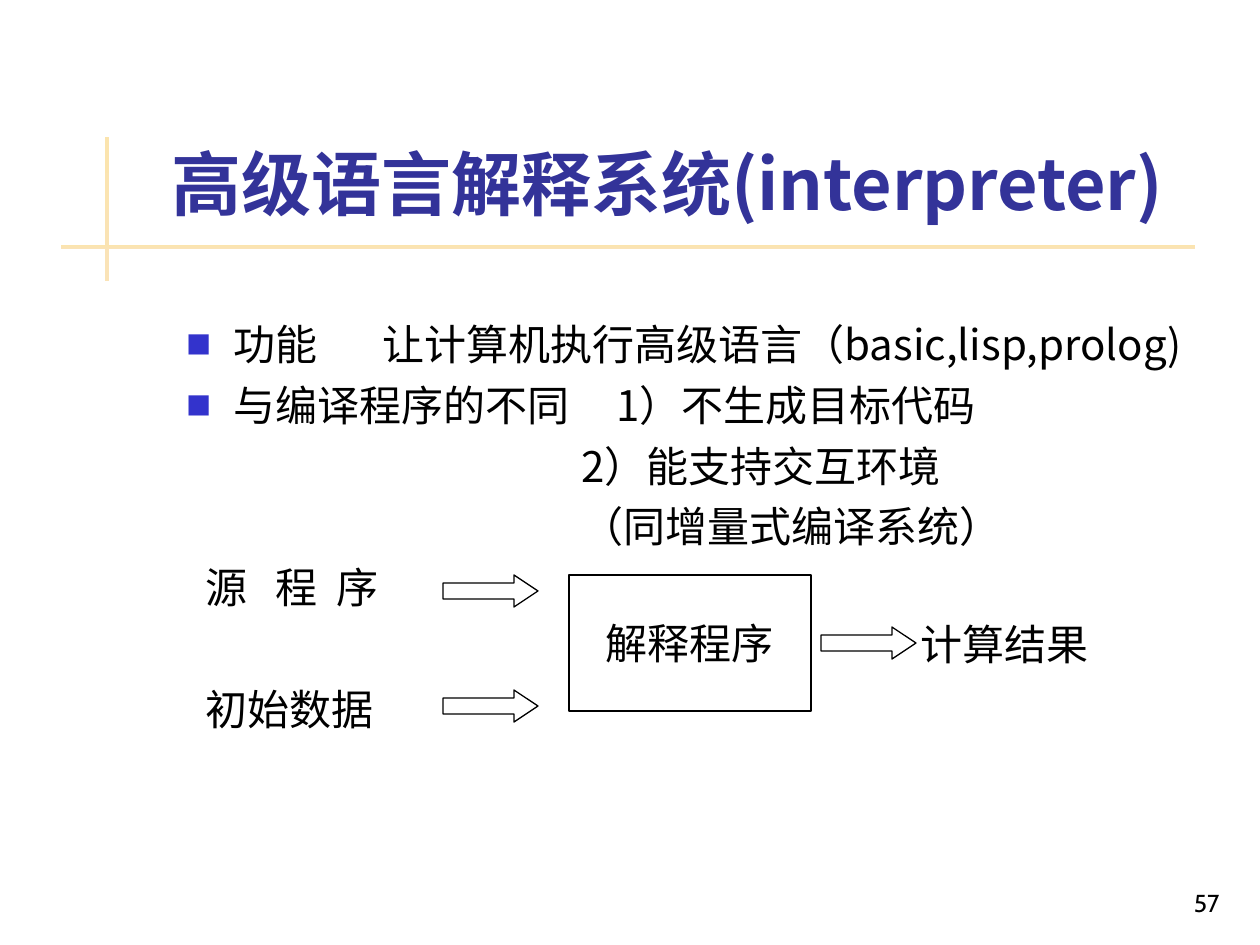
from dataclasses import dataclass

from lxml.etree import SubElement
from pptx import Presentation
from pptx.dml.color import RGBColor
from pptx.enum.shapes import MSO_SHAPE
from pptx.enum.text import MSO_ANCHOR, MSO_AUTO_SIZE, PP_ALIGN
from pptx.oxml.ns import qn
from pptx.util import Inches, Pt

PX_PER_INCH = 126


@dataclass(frozen=True)
class Theme:
    text: str = "000000"
    title: str = "333399"
    bullet: str = "3333CC"
    paper: str = "FFFFFF"
    rule_start: str = "FBE4AE"
    rule_end: str = "FAE3B7"
    font: str = "Noto Sans CJK JP"
    number_font: str = "Cabin"
    title_size: int = 40
    body_size: int = 24
    number_size: int = 14
    line_width: float = 0.75


THEME = Theme()
# Parts of a line are separated by (gap in points); first value is the indent in px.
BULLETS = [
    ("功能", 32, "让计算机执行高级语言（basic,lisp,prolog)"),
    ("与编译程序的不同", 21.5, "1）不生成目标代码"),
]
PLAIN_LINES = [
    (395, 6, ("2）能支持交互环境",)),
    (395, 6, ("（同增量式编译系统）",)),
    (19, 6, ("源", 10.8, "程", 5.4, "序")),
    (19, 41, ("初始数据",)),
]
ARROWS = [(443, 575), (443, 690), (821, 627)]


def px(count):
    return round(count * Inches(1) / PX_PER_INCH)


def color(value):
    return RGBColor.from_string(value)


def apply(target, values):
    for name, value in values.items():
        setattr(target, name, value)


def place(shape, left, top, width, height):
    apply(shape, {"left": px(left), "top": px(top),
                  "width": px(width), "height": px(height)})


def add_span(para, text, size=THEME.body_size, ink=THEME.text,
             font=THEME.font, bold=False):
    span = para.add_run()
    span.text = text
    apply(span.font, {"size": Pt(size), "bold": bold, "name": font})
    span.font.color.rgb = color(ink)
    SubElement(span._r.get_or_add_rPr(), qn("a:ea"), typeface=font)
    return span


def add_parts(para, parts):
    """Write texts, with each number between them a space widened by that many points."""
    for part in parts:
        if isinstance(part, str):
            add_span(para, part)
        else:
            gap = add_span(para, " ")
            gap._r.get_or_add_rPr().set("spc", str(round(part * 100)))


def set_indent(para, margin, first=0):
    properties = para._p.get_or_add_pPr()
    properties.set("marL", str(px(margin)))
    properties.set("indent", str(px(first)))
    return properties


def add_bullet(para):
    properties = set_indent(para, 47, -47)
    bullet_color = SubElement(properties, qn("a:buClr"))
    SubElement(bullet_color, qn("a:srgbClr"), val=THEME.bullet)
    SubElement(properties, qn("a:buSzPct"), val="60000")
    SubElement(properties, qn("a:buFont"), typeface=THEME.font)
    SubElement(properties, qn("a:buChar"), char="■")


def add_title(slide, text):
    title = slide.shapes.title
    place(title, 159, 29, 1074, 202)
    apply(title.text_frame, {"vertical_anchor": MSO_ANCHOR.BOTTOM,
                             "auto_size": MSO_AUTO_SIZE.NONE, "word_wrap": True})
    para = title.text_frame.paragraphs[0]
    para.alignment = PP_ALIGN.LEFT
    add_span(para, text, THEME.title_size, THEME.title, bold=True)


def add_text_box(slide, *bounds):
    box = slide.shapes.add_textbox(*map(px, bounds))
    box.text_frame.word_wrap = True
    return box.text_frame


def add_body(slide):
    frame = add_text_box(slide, 174, 312, 1071, 567)
    para = frame.paragraphs[0]
    for index, parts in enumerate(BULLETS):
        if index:
            para = frame.add_paragraph()
        para.space_before = Pt(6)
        add_bullet(para)
        add_parts(para, parts)
    for indent, space, parts in PLAIN_LINES:
        para = frame.add_paragraph()
        para.space_before = Pt(space)
        set_indent(para, indent)
        add_parts(para, parts)


def add_preset(slide, kind, bounds, outline=THEME.text):
    shape = slide.shapes.add_shape(kind, *map(px, bounds))
    shape.shadow.inherit = False
    shape.fill.solid()
    shape.fill.fore_color.rgb = color(THEME.paper)
    shape.line.color.rgb = color(outline)
    shape.line.width = Pt(THEME.line_width)
    return shape


def add_label(slide, text, bounds, outline=THEME.text):
    frame = add_preset(slide, MSO_SHAPE.RECTANGLE, bounds, outline).text_frame
    apply(frame, {"word_wrap": False, "vertical_anchor": MSO_ANCHOR.MIDDLE})
    para = frame.paragraphs[0]
    para.alignment = PP_ALIGN.CENTER
    add_span(para, text)


def add_arrow(slide, left, top):
    arrow = add_preset(slide, MSO_SHAPE.RIGHT_ARROW, (left, top, 95, 32))
    arrow.adjustments[0] = 0.5
    arrow.adjustments[1] = 0.75


def add_rule(slide, *bounds):
    rule = add_preset(slide, MSO_SHAPE.RECTANGLE, bounds)
    rule.line.fill.background()
    rule.fill.gradient()
    rule.fill.gradient_angle = 270
    for stop, value in zip(rule.fill.gradient_stops, (THEME.rule_start, THEME.rule_end)):
        stop.color.rgb = color(value)


def add_page_number(slide, text):
    frame = add_text_box(slide, 970, 861, 262, 63)
    frame.vertical_anchor = MSO_ANCHOR.BOTTOM
    para = frame.paragraphs[0]
    para.alignment = PP_ALIGN.RIGHT
    add_span(para, text, THEME.number_size, font=THEME.number_font)


def main():
    deck = Presentation()
    apply(deck, {"slide_width": px(1260), "slide_height": px(945)})
    slide = deck.slides.add_slide(deck.slide_layouts.get_by_name("Title Only"))
    add_rule(slide, 105, 137, 4, 144)
    add_rule(slide, 61, 245, 1134, 4)
    add_title(slide, "高级语言解释系统(interpreter)")
    add_body(slide)
    add_label(slide, "解释程序", (569, 575, 242, 136))
    add_label(slide, "计算结果", (926, 617, 158, 53), THEME.paper)
    for left, top in ARROWS:
        add_arrow(slide, left, top)
    add_page_number(slide, "57")
    deck.save("out.pptx")


if __name__ == "__main__":
    main()
